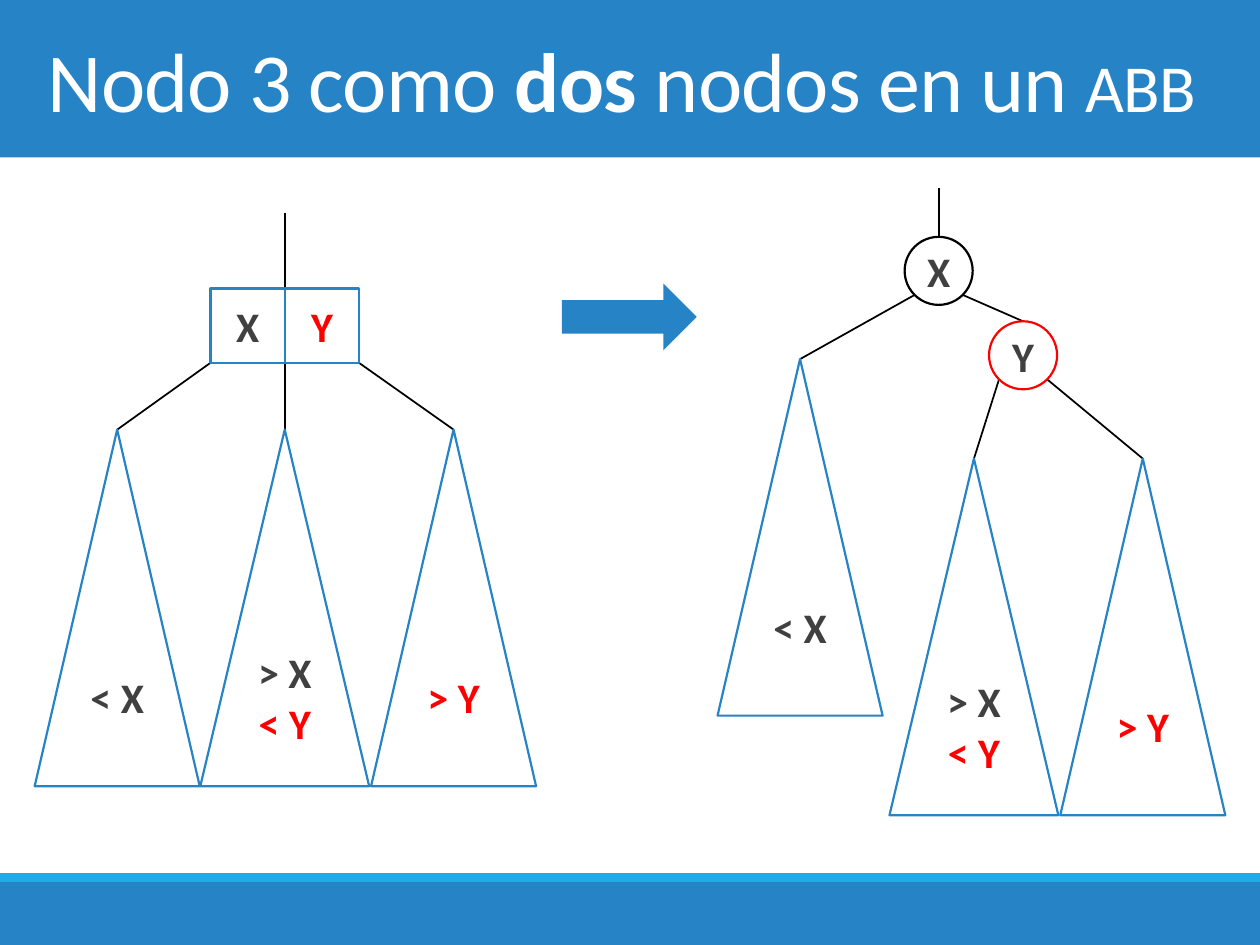
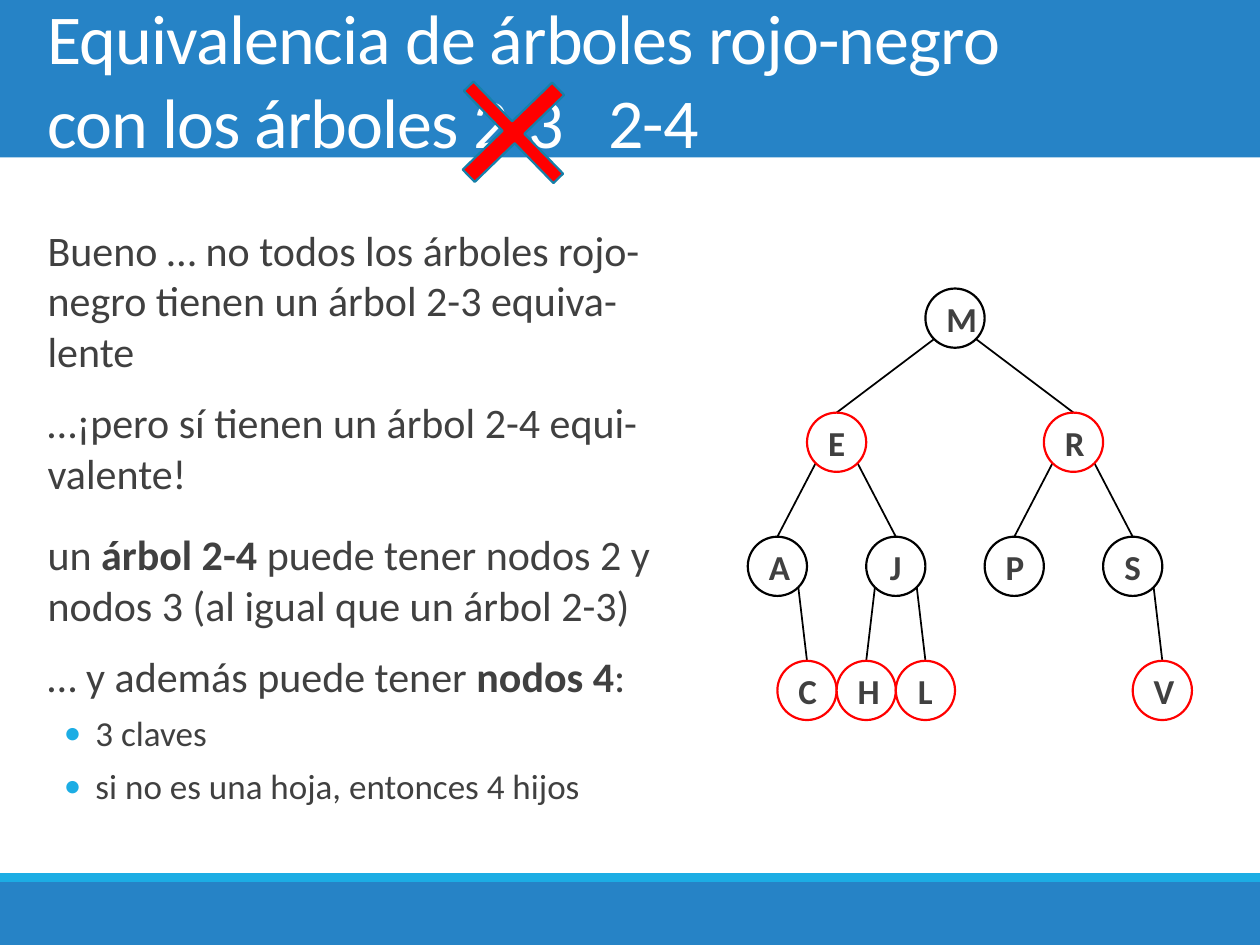
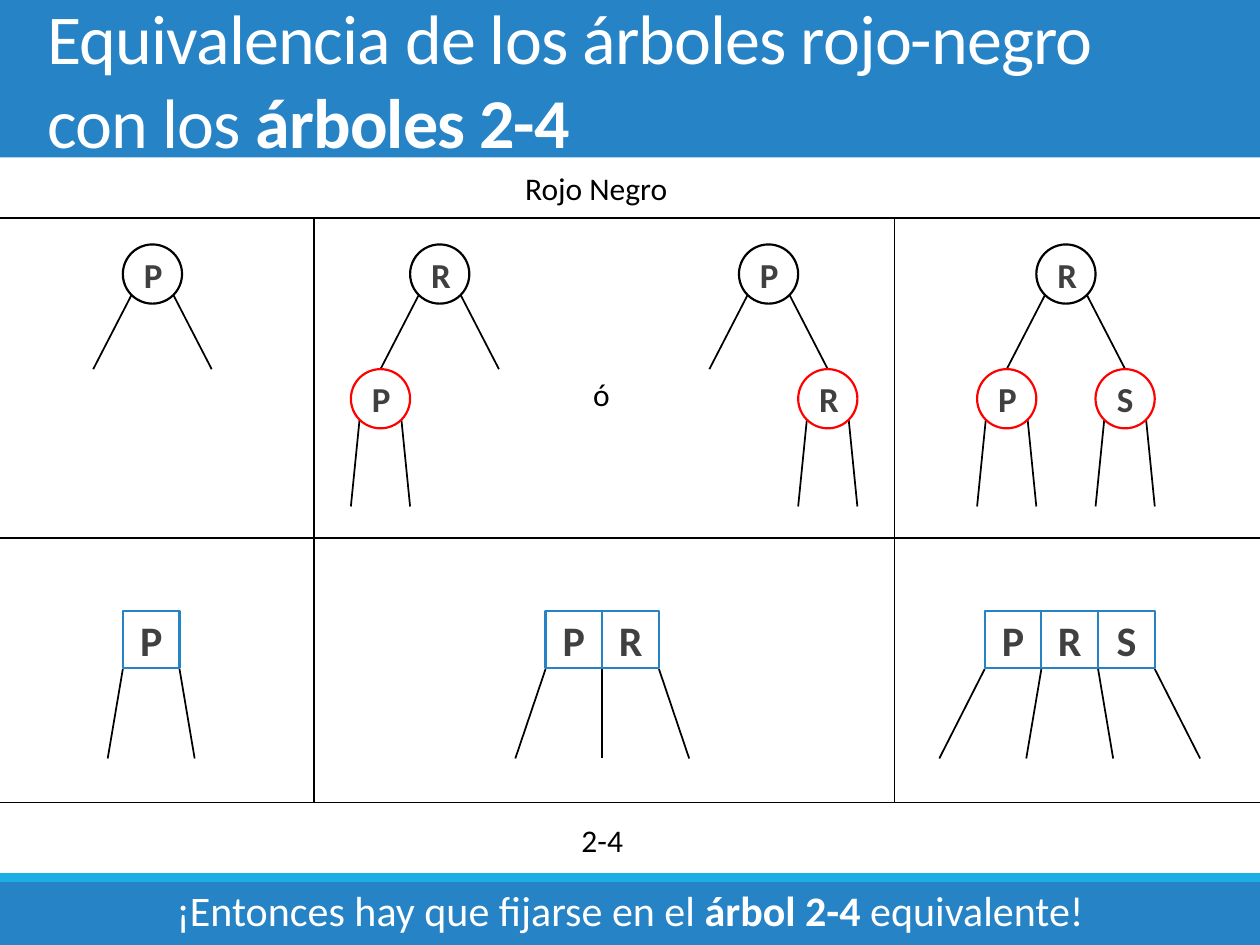
import math

import pptx
import pptx.dml.color
import pptx.enum.shapes
import pptx.enum.text
import pptx.oxml
import pptx.oxml.ns
import pptx.util

Inches = pptx.util.Inches
Pt = pptx.util.Pt
MSO = pptx.enum.shapes.MSO_SHAPE
ALIGN = pptx.enum.text.PP_ALIGN
ANCHOR = pptx.enum.text.MSO_ANCHOR

FONT = "Calibri"
BLUE, CYAN, RED = "2683C6", "1CADE4", "FF0000"
BLACK, WHITE, GRAY, DARK_CYAN = "000000", "FFFFFF", "404040", "1580A9"

NODE = 0.47
BIG_NODE = 0.54
TRIANGLE_HEIGHT = 2.83


def rgb(value):
    """Turn a hex string into a colour."""
    return pptx.dml.color.RGBColor.from_string(value)


def add_xml(parent, xml):
    """Append one DrawingML element to a parent element."""
    parent.append(pptx.oxml.parse_xml(xml.replace(" ", f" {pptx.oxml.ns.nsdecls('a')} ", 1)))


def style(p, size, color, bold=None, align=None):
    """Set the font and alignment of a paragraph."""
    p.font.name = FONT
    p.font.size = Pt(size)
    p.font.color.rgb = rgb(color)
    p.font.bold = bold
    p.alignment = align


def add_runs(p, parts):
    """Add text where every second part is bold."""
    for i, part in enumerate(parts):
        r = p.add_run()
        r.text = part
        if i % 2:
            r.font.bold = True


def shape(shapes, kind, x, y, w, h, fill, line=None):
    """Add a preset shape with a plain fill and an optional outline."""
    sp = shapes.add_shape(kind, Inches(x), Inches(y), Inches(w), Inches(h))
    sp.shadow.inherit = False
    sp.fill.solid()
    sp.fill.fore_color.rgb = rgb(fill)
    if line:
        sp.line.color.rgb = rgb(line)
        sp.line.width = Pt(1.25)
    else:
        sp.line.fill.background()
    return sp


def label(sp, text, size, color=GRAY):
    """Write a centred bold label in a shape."""
    p = sp.text_frame.paragraphs[0]
    p.add_run().text = text
    style(p, size, color, True, ALIGN.CENTER)
    return p


def line(shapes, x1, y1, x2, y2):
    """Add a thin black line."""
    cn = shapes.add_connector(pptx.enum.shapes.MSO_CONNECTOR.STRAIGHT,
                              Inches(x1), Inches(y1), Inches(x2), Inches(y2))
    cn.line.color.rgb = rgb(BLACK)
    cn.line.width = Pt(1)
    add_xml(cn._element.spPr, "<a:effectLst />")


def text_box(slide, x, y, w, h, anchor=ANCHOR.TOP, wrap=True):
    """Add an empty text box and return its frame."""
    tf = slide.shapes.add_textbox(Inches(x), Inches(y), Inches(w), Inches(h)).text_frame
    tf.word_wrap = wrap
    tf.vertical_anchor = anchor
    return tf


def caption(slide, x, y, w, text, align=None):
    """Add a short black caption."""
    tf = text_box(slide, x, y, w, 0.4, wrap=False)
    p = tf.paragraphs[0]
    p.add_run().text = text
    style(p, 18, BLACK, align=align)


def new_slide(prs):
    """Add a blank slide with the top and bottom bands."""
    slide = prs.slides.add_slide(prs.slide_layouts[6])
    for y, h, color in ((0, 1.25, BLUE), (7, 0.5, BLUE), (6.93, 0.07, CYAN)):
        shape(slide.shapes, MSO.RECTANGLE, 0, y, 10, h, color)
    return slide


def title(slide, lines, size):
    """Add the slide title, one list of parts for each line."""
    p = text_box(slide, 0.28, 0, 9.45, 1.25, ANCHOR.MIDDLE).paragraphs[0]
    for i, parts in enumerate(lines):
        if i:
            p.add_line_break()
        add_runs(p, parts)
    for r in p.runs:
        r._r.get_or_add_rPr().set("spc", "-50")
    return p, size


def finish_title(p, size):
    """Set the common title font."""
    style(p, size, WHITE)


def node(shapes, cx, top, key, color=BLACK, d=NODE, size=20):
    """Add a round tree node centred on cx."""
    label(shape(shapes, MSO.OVAL, cx - d / 2, top, d, d, WHITE, color), key, size)


def edge(shapes, cx, top, x, y, d=NODE):
    """Draw a line from the lower side of a node, at 45 degrees, to a point."""
    reach = d / 2 * math.sqrt(0.5)
    line(shapes, cx + math.copysign(reach, x - cx), top + d / 2 + reach, x, y)


def key_box(shapes, x, y, side, key, color=GRAY):
    """Add a square that holds one key of a multi-key node."""
    label(shape(shapes, MSO.RECTANGLE, x, y, side, side, WHITE, BLUE), key, 24, color)


def subtree(shapes, cx, top, width, text, color=GRAY, second=None):
    """Add a triangle for a subtree with its key range."""
    sp = shape(shapes, MSO.ISOSCELES_TRIANGLE, cx - width / 2, top, width, TRIANGLE_HEIGHT, WHITE, BLUE)
    p = label(sp, text, 24, color)
    if second:
        r = p.add_run()
        r.text = second
        r.font.color.rgb = rgb(RED)


def three_subtrees(shapes, places):
    """Add the subtrees below X, between X and Y, and above Y."""
    (x1, y1), (x2, y2), (x3, y3) = places
    subtree(shapes, x1, y1, 1.31, "< X")
    subtree(shapes, x3, y3, 1.31, "> Y", RED)
    subtree(shapes, x2, y2, 1.34, "> X ", second="< Y")


def three_node_slide(prs):
    """Show a 3-node as two nodes of a search tree."""
    slide = new_slide(prs)
    shapes = slide.shapes
    p, size = title(slide, [["Nodo 3 como ", "dos", " nodos en un "]], 48)
    r = p.add_run()
    r.text = "abb"
    r._r.get_or_add_rPr().set("spc", "-50")
    r._r.get_or_add_rPr().set("cap", "small")
    finish_title(p, size)

    tops = [(0.93, 3.41), (2.26, 3.41), (3.6, 3.41)]
    line(shapes, 2.26, 1.69, 2.26, 2.32)
    for i, (x, y) in enumerate(tops):
        line(shapes, 1.67 + 0.59 * i, 2.88, x, y)
    three_subtrees(shapes, tops)
    key_box(shapes, 1.67, 2.29, 0.59, "X")
    key_box(shapes, 2.26, 2.29, 0.59, "Y", RED)

    shape(shapes, MSO.RIGHT_ARROW, 4.46, 2.25, 1.07, 0.53, BLUE)

    tops = [(6.35, 2.85), (7.73, 3.64), (9.07, 3.64)]
    x_node, y_node = (7.45, 1.88), (8.12, 2.55)
    line(shapes, 7.45, 1.49, *x_node)
    for start, end in zip((x_node, x_node, y_node, y_node), (tops[0], y_node, *tops[1:])):
        edge(shapes, *start, *end, BIG_NODE)
    three_subtrees(shapes, tops)
    node(shapes, *x_node, "X", BLACK, BIG_NODE, 24)
    node(shapes, *y_node, "Y", RED, BIG_NODE, 24)


def body_text(slide):
    """Add the explanation of 2-4 trees."""
    tf = text_box(slide, 0.28, 1.41, 5.23, 5.36, ANCHOR.MIDDLE)
    paragraphs = [
        (18, ["Bueno … no todos los árboles rojo-negro tienen un árbol 2-3 equiva-lente"]),
        (12, ["…¡pero sí tienen un árbol 2-4 equi-valente!"]),
        (18, ["un ", "árbol 2-4", " puede tener nodos 2 y nodos 3 (al igual que un árbol 2-3)"]),
        (12, ["… y además puede tener ", "nodos 4", ":"]),
        (6, ["3 claves"]),
        (6, ["si no es una hoja, entonces 4 hijos"]),
    ]
    for i, (before, parts) in enumerate(paragraphs):
        p = tf.add_paragraph() if i else tf.paragraphs[0]
        add_runs(p, parts)
        p.space_before = Pt(before)
        bullet = i >= 4
        if bullet:
            p.level = 1
            pPr = p._p.get_or_add_pPr()
            pPr.set("marL", str(Inches(0.38)))
            pPr.set("indent", str(Inches(-0.25)))
            add_xml(pPr, f'<a:buClr ><a:srgbClr val="{CYAN}"/></a:buClr>')
            add_xml(pPr, '<a:buFont typeface="Calibri"/>')
            add_xml(pPr, '<a:buChar char="•"/>')
        style(p, 20 if bullet else 24, GRAY)


def red_black_tree(slide):
    """Draw the red-black tree on a half-node grid."""
    shapes = slide.shapes.add_group_shape().shapes
    tree = {
        "M": (6, 0, None), "E": (2, 1, "M"), "R": (10, 1, "M"),
        "A": (0, 2, "E"), "J": (4, 2, "E"), "P": (8, 2, "R"), "S": (12, 2, "R"),
        "C": (1, 3, "A"), "H": (3, 3, "J"), "L": (5, 3, "J"), "V": (13, 3, "S"),
    }
    places = {key: (6.17 + NODE / 2 * col, 2.29 + 0.985 * row)
              for key, (col, row, parent) in tree.items()}
    for key, (col, row, parent) in tree.items():
        if parent:
            edge(shapes, *places[parent], *places[key])
    for key, (col, row, parent) in tree.items():
        node(shapes, *places[key], key, RED if row % 2 else BLACK)


def equivalence_slide(prs):
    """Correct the equivalence from 2-3 trees to 2-4 trees."""
    slide = new_slide(prs)
    body_text(slide)
    p, size = title(slide, [["Equivalencia de árboles rojo-negro"],
                            ["con los árboles 2-3\t2-4"]], 40)
    add_xml(p._p.get_or_add_pPr(),
            f'<a:tabLst ><a:tab pos="{Inches(4.45)}" algn="l"/></a:tabLst>')
    finish_title(p, size)
    red_black_tree(slide)
    cross = shape(slide.shapes, MSO.CROSS, 3.58, 0.54, 0.99, 1.02, RED, DARK_CYAN)
    cross.adjustments[0] = 0.446
    cross.rotation = 315.8


def small_tree(shapes, cx, root, left=None, right=None):
    """Draw a black root with optional red children and open branches."""
    top, child_top = 1.94, 2.93
    for side, key in ((-1, left), (1, right)):
        x = cx + side * NODE
        edge(shapes, cx, top, x, child_top)
        if key:
            for branch in (-1, 1):
                edge(shapes, x, child_top, x + branch * NODE / 2, 4.02)
            node(shapes, x, child_top, key, RED)
    node(shapes, cx, top, root)


def multi_key_node(shapes, cx, keys):
    """Draw a row of keys with one branch more than keys."""
    side, top, spread = 0.45, 4.85, 0.69
    n = len(keys)
    for i, key in enumerate(keys):
        key_box(shapes, cx + (i - n / 2) * side, top, side, key)
    for i in range(n + 1):
        step = i - n / 2
        line(shapes, cx + step * side, 5.31, cx + step * spread, 6.02)


def comparison_slide(prs):
    """Compare red-black nodes with 2-4 nodes in a grid."""
    slide = new_slide(prs)
    shapes = slide.shapes
    finish_title(*title(slide, [["Equivalencia de los árboles rojo-negro"],
                                ["con los ", "árboles 2-4"]], 40))
    for y in (1.73, 4.27, 6.37):
        line(shapes, 0, y, 10, y)
    for x in (2.49, 7.1):
        line(shapes, x, 1.73, x, 6.37)
    small_tree(shapes, 1.21, "P")
    small_tree(shapes, 3.49, "R", left="P")
    small_tree(shapes, 6.1, "P", right="R")
    small_tree(shapes, 8.46, "R", "P", "S")
    for cx, keys in ((1.2, "P"), (4.78, "PR"), (8.49, "PRS")):
        multi_key_node(shapes, cx, keys)
    caption(slide, 4.07, 1.29, 1.34, "Rojo Negro")
    caption(slide, 4.61, 2.93, 0.34, "ó")
    caption(slide, 4.51, 6.47, 0.54, "2-4", ALIGN.CENTER)
    p = text_box(slide, 0, 6.97, 10, 0.5).paragraphs[0]
    add_runs(p, ["¡Entonces hay que fijarse en el ", "árbol 2-4", " equivalente!"])
    style(p, 24, WHITE, align=ALIGN.CENTER)


def main():
    """Build and save the presentation."""
    prs = pptx.Presentation()
    prs.slide_width, prs.slide_height = Inches(10), Inches(7.5)
    three_node_slide(prs)
    equivalence_slide(prs)
    comparison_slide(prs)
    prs.save("out.pptx")


main()
